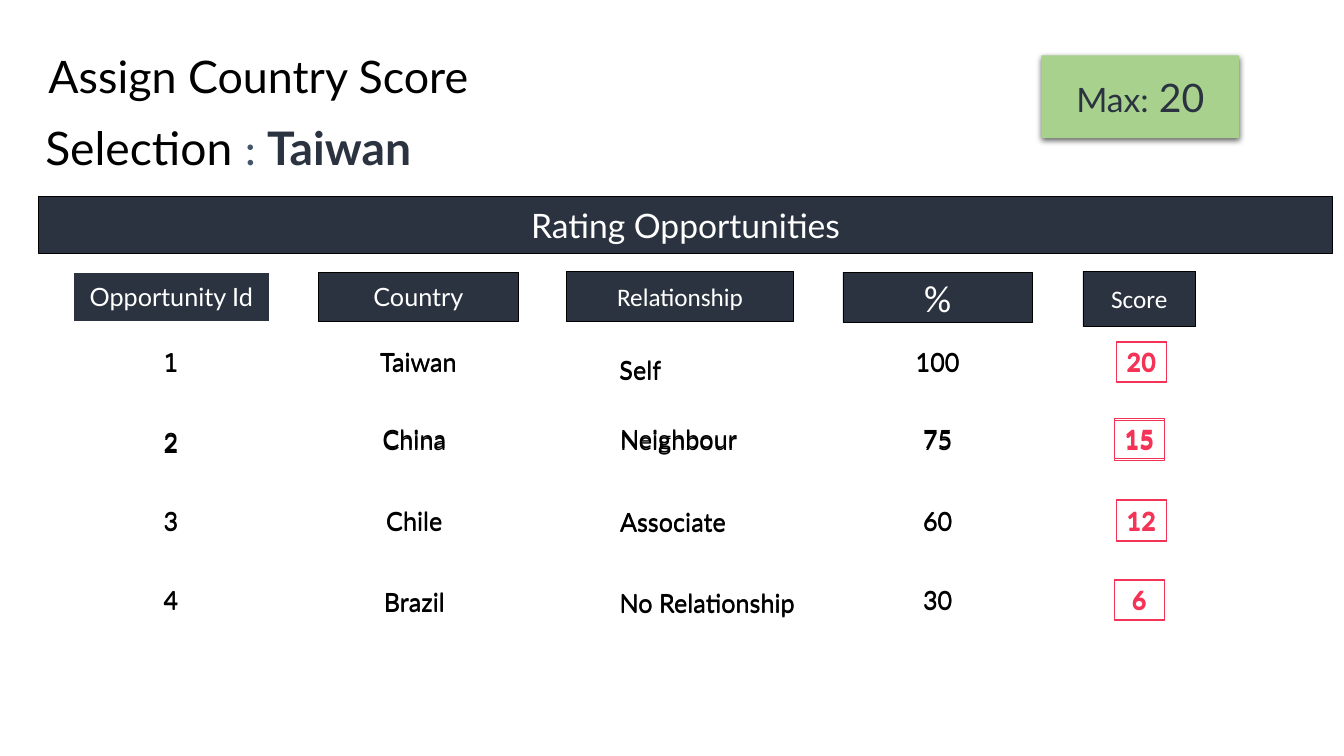
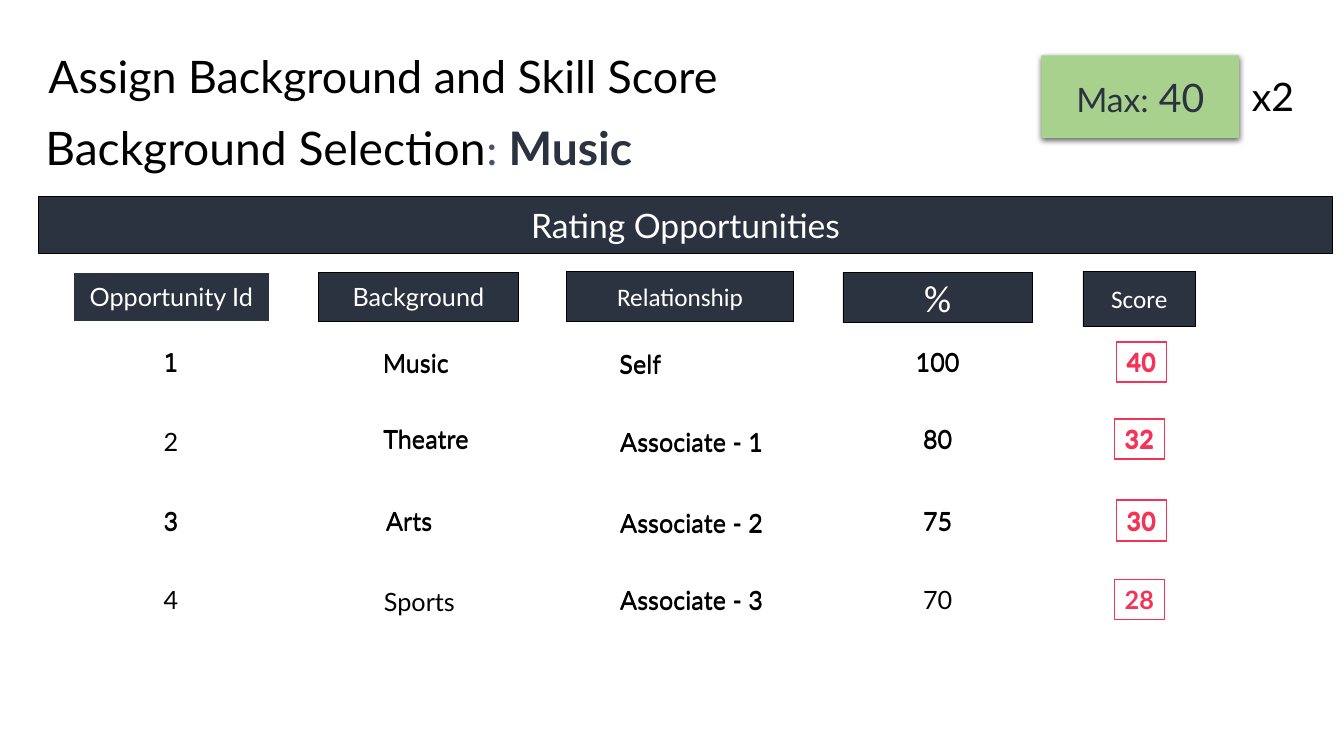
import dataclasses

import lxml.etree
import pptx
import pptx.dml.color
import pptx.enum.shapes
import pptx.enum.text
import pptx.oxml
import pptx.oxml.ns
import pptx.util

Inches = pptx.util.Inches
Pt = pptx.util.Pt
ALIGN = pptx.enum.text.PP_ALIGN
ANCHOR = pptx.enum.text.MSO_ANCHOR
FIT = pptx.enum.text.MSO_AUTO_SIZE

COLORS = {
    "navy": "2B3340",
    "slate": "44546A",
    "green": "A9D18E",
    "red": "F53357",
    "black": "000000",
    "white": "FFFFFF",
}
FONT = "Lato"
ALT = "Calibri"
MONO = "Noto Sans Mono"
TOPS = (3.39, 4.15, 4.96, 5.75)


@dataclasses.dataclass(frozen=True)
class Box:
    left: float
    top: float
    width: float
    height: float = 0.4


@dataclasses.dataclass(frozen=True)
class Run:
    text: str
    size: float
    color: str = "black"
    font: str = FONT
    bold: bool = False


@dataclasses.dataclass(frozen=True)
class Head:
    text: str
    box: Box
    font: str = FONT
    size: float = 18
    line: str = "black"


@dataclasses.dataclass(frozen=True)
class Cell:
    text: str
    box: Box


@dataclasses.dataclass(frozen=True)
class Row:
    name: Cell
    tie: Cell
    share: str
    score: str
    echo: float = 0.01
    once: tuple[str, ...] = ()


@dataclasses.dataclass(frozen=True)
class Page:
    title: str
    label: str
    choice: str
    limit: str
    column: str
    rows: tuple[Row, ...]
    factor: str = ""


HEADS = (
    Head("Relationship", Box(5.62, 2.69, 2.25, 0.5), ALT),
    Head("%", Box(8.36, 2.7, 1.88, 0.5), ALT, 27),
    Head("Score", Box(10.74, 2.69, 1.12, 0.55), ALT),
    Head("Opportunity Id", Box(0.73, 2.7, 1.94, 0.49), line="white"),
    Head("Rating Opportunities", Box(0.38, 1.95, 12.84, 0.56), size=24),
)

PAGES = (
    Page("Assign Country Score", "Selection ", "Taiwan", "20", "Country", (
        Row(Cell("Taiwan", Box(3.65, 3.39, 1)),
            Cell("Self", Box(6.04, 3.47, 0.62)), "100", "20"),
        Row(Cell("China", Box(3.69, 4.15, 0.84)),
            Cell("Neighbour", Box(6.04, 4.15, 1.38)), "75", "15", 0.02),
        Row(Cell("Chile", Box(3.73, 4.96, 0.76)),
            Cell("Associate", Box(6.04, 4.97, 1.27)), "60", "12"),
        Row(Cell("Brazil", Box(3.7, 5.77, 0.82)),
            Cell("No Relationship", Box(6.03, 5.78, 1.97)), "30", "6"),
    )),
    Page("Assign Background and Skill Score", "Background Selection", "Music",
         "40", "Background", (
        Row(Cell("Music", Box(3.69, 3.4, 0.87)),
            Cell("Self", Box(6.04, 3.41, 0.62)), "100", "40"),
        Row(Cell("Theatre", Box(3.69, 4.15, 1.07)),
            Cell("Associate - 1", Box(6.04, 4.18, 1.64)), "80", "32",
            once=("2",)),
        Row(Cell("Arts", Box(3.73, 4.96, 0.66)),
            Cell("Associate - 2", Box(6.04, 4.98, 1.64)), "75", "30"),
        Row(Cell("Sports", Box(3.7, 5.77, 0.92)),
            Cell("Associate - 3", Box(6.04, 5.75, 1.64)), "70", "28",
            once=("4", "Sports", "70", "28")),
    ), "x2"),
)


def tint(name: str) -> pptx.dml.color.RGBColor:
    return pptx.dml.color.RGBColor.from_string(COLORS[name])


def place(shape, box: Box) -> None:
    shape.left, shape.top = Inches(box.left), Inches(box.top)
    shape.width, shape.height = Inches(box.width), Inches(box.height)


def style(font, run: Run) -> None:
    font.name, font.size, font.bold = run.font, Pt(run.size), run.bold
    font.color.rgb = tint(run.color)


def write(shape, *runs: Run, align=ALIGN.CENTER, anchor=ANCHOR.MIDDLE):
    frame = shape.text_frame
    frame.vertical_anchor = anchor
    para = frame.paragraphs[0]
    para.alignment = align
    for run in runs:
        piece = para.add_run()
        piece.text = run.text
        if len(runs) > 1:
            style(piece.font, run)
    if len(runs) == 1:
        style(para.font, runs[0])
    return para


def panel(slide, box: Box, fill: str = "", line: str = "", weight: float = 0.5):
    kind = pptx.enum.shapes.MSO_SHAPE.RECTANGLE
    shape = slide.shapes.add_shape(kind, 0, 0, 0, 0)
    place(shape, box)
    shape.shadow.inherit = False
    if fill:
        shape.fill.solid()
        shape.fill.fore_color.rgb = tint(fill)
    else:
        shape.fill.background()
    if line:
        shape.line.color.rgb = tint(line)
        shape.line.width = Pt(weight)
    else:
        shape.line.fill.background()
    return shape


def note(slide, box: Box):
    shape = slide.shapes.add_textbox(0, 0, 0, 0)
    place(shape, box)
    return shape


def entry(slide, box: Box, run: Run, framed: bool = False) -> None:
    """Add a one-line value that fits its text, framed in red if asked."""
    shape = panel(slide, box, line="red", weight=0.75) if framed else note(slide, box)
    write(shape, run, anchor=ANCHOR.TOP)
    shape.text_frame.word_wrap = False
    shape.text_frame.auto_size = FIT.SHAPE_TO_FIT_TEXT


def shade(shape) -> None:
    """Give the shape a soft shadow straight below it."""
    qn = pptx.oxml.ns.qn
    effects = shape.element.spPr.find(qn("a:effectLst"))
    outer = lxml.etree.SubElement(
        effects, qn("a:outerShdw"), blurRad=str(Pt(4.5)), dist=str(Pt(1.5)),
        dir="5400000", algn="ctr", rotWithShape="0")
    color = lxml.etree.SubElement(outer, qn("a:srgbClr"), val=COLORS["black"])
    lxml.etree.SubElement(color, qn("a:alpha"), val="63000")


def top_part(slide, page: Page) -> None:
    title = slide.shapes.title
    place(title, Box(0.38, 0.31, 12.6, 0.94))
    title.text_frame.auto_size = FIT.NONE
    write(title, Run(page.title, 32), align=ALIGN.LEFT).line_spacing = 0.9

    choice = note(slide, Box(0.38, 0.99, 12.7, 0.93))
    frame = choice.text_frame
    frame.word_wrap = True
    frame.margin_left = frame.margin_right = Inches(0.07)
    frame.margin_top = frame.margin_bottom = Inches(0.04)
    write(choice, Run(page.label, 33), Run(": ", 33, "slate", ALT),
          Run(page.choice, 33, "navy", bold=True), align=ALIGN.LEFT)

    badge = panel(slide, Box(10.33, 0.55, 1.96, 0.82), "green")
    shade(badge)
    write(badge, Run("Max:", 24, "navy"), Run(f" {page.limit}", 28, "navy"))
    if page.factor:
        entry(slide, Box(12.3, 0.67, 0.65, 0.57), Run(page.factor, 28))


def line_up(slide, index: int, row: Row) -> None:
    """Draw one row; values outside row.once get a second, lowered layer."""
    top = TOPS[index]
    number = str(index + 1)
    wide = 0.64 if len(row.share) == 3 else 0.5
    cells = (
        Cell(number, Box(1.52, top + (0.03 if index == 1 else 0), 0.35)),
        row.name,
        row.tie,
        Cell(row.share, Box(9.3 - wide / 2, top, wide)),
        Cell(row.score, Box(11.05 if index % 2 else 11.07, top, 0.5)),
    )
    for drop in (0, row.echo):
        for col, cell in enumerate(cells):
            if drop and cell.text in row.once:
                continue
            framed = col == len(cells) - 1
            font = MONO if col == 0 and index == 0 else FONT
            run = Run(cell.text, 18, "red" if framed else "black", font, framed)
            box = dataclasses.replace(cell.box, top=cell.box.top + drop)
            entry(slide, box, run, framed)


def build(deck, page: Page) -> None:
    slide = deck.slides.add_slide(deck.slide_layouts[5])
    for head in (*HEADS, Head(page.column, Box(3.16, 2.7, 1.98, 0.49))):
        bar = panel(slide, head.box, "navy", head.line)
        write(bar, Run(head.text, head.size, "white", head.font))
    top_part(slide, page)
    for index, row in enumerate(page.rows):
        line_up(slide, index, row)


def main() -> None:
    deck = pptx.Presentation()
    deck.slide_width, deck.slide_height = Inches(13.33), Inches(7.5)
    for page in PAGES:
        build(deck, page)
    deck.save("out.pptx")


if __name__ == "__main__":
    main()
